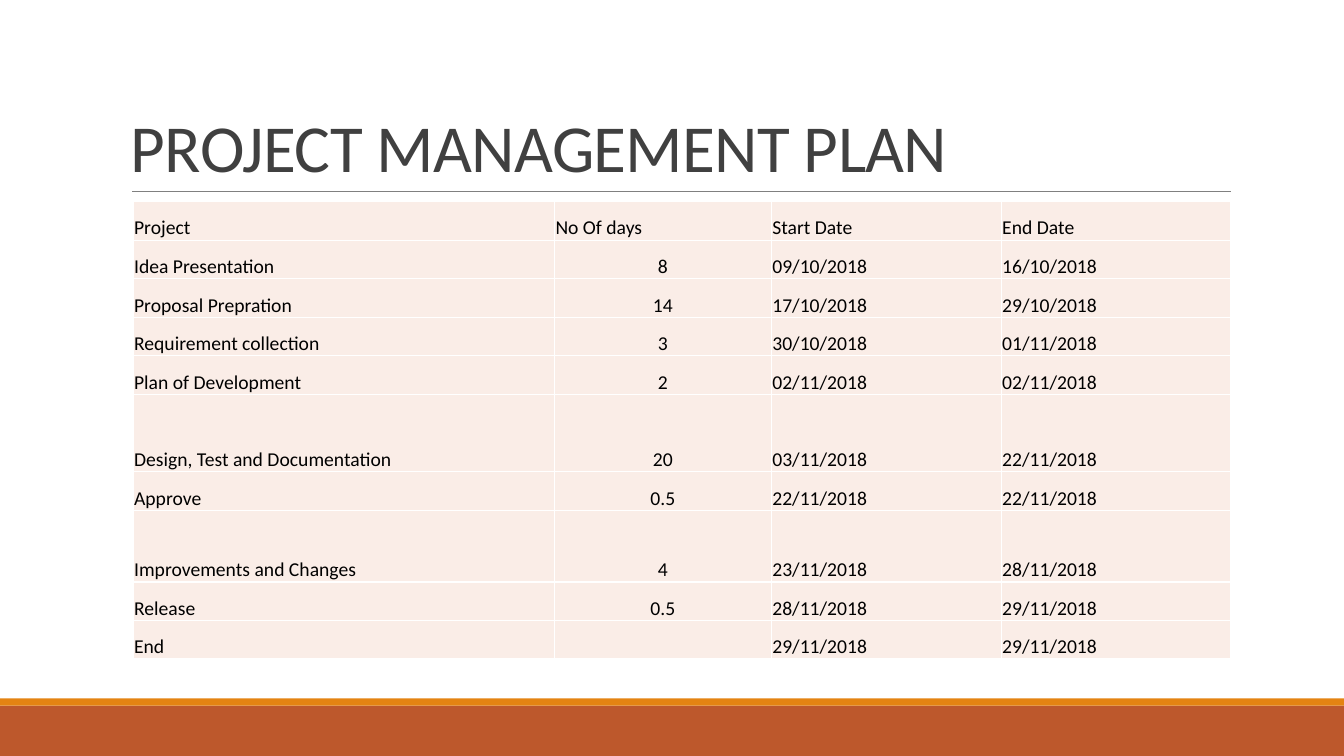
from lxml.etree import SubElement
from pptx import Presentation
from pptx.dml.color import RGBColor
from pptx.enum.shapes import MSO_CONNECTOR, MSO_SHAPE
from pptx.enum.text import MSO_ANCHOR, PP_ALIGN
from pptx.oxml.ns import qn
from pptx.util import Inches, Pt

# Content
TITLE = "PROJECT MANAGEMENT PLAN"
PLAN = [
    ("Project", "No Of days", "Start Date", "End Date"),
    ("Idea Presentation", "8", "09/10/2018", "16/10/2018"),
    ("Proposal Prepration", "14", "17/10/2018", "29/10/2018"),
    ("Requirement collection", "3", "30/10/2018", "01/11/2018"),
    ("Plan of Development", "2", "02/11/2018", "02/11/2018"),
    ("Design, Test and Documentation", "20", "03/11/2018", "22/11/2018"),
    ("Approve", "0.5", "22/11/2018", "22/11/2018"),
    ("Improvements and Changes", "4", "23/11/2018", "28/11/2018"),
    ("Release", "0.5", "28/11/2018", "29/11/2018"),
    ("End", "", "29/11/2018", "29/11/2018"),
]

# Look and grid, in inches
COLORS = {"band": "BD582C", "stripe": "E48312", "rule": "808080",
          "title": "404040", "text": "000000", "cell": "FAEDE7", "border": "FFFFFF"}
FONT = "Calibri"
WIDTH, HEIGHT = 13.33, 7.5
BAND, STRIPE = 0.5, 0.07
RULE_LEFT, RULE_RIGHT, RULE_Y = 1.31, 12.21, 1.9
TABLE_LEFT, TABLE_TOP, TABLE_HEIGHT = 1.32, 2, 4.54
COLUMNS = (4.18, 2.15, 2.28, 2.28)
TALL_ROWS = {5: 0.77, 7: 0.71}
ROW = (TABLE_HEIGHT - sum(TALL_ROWS.values())) / (len(PLAN) - len(TALL_ROWS))


def color(key):
    return RGBColor.from_string(COLORS[key])


def add_run(paragraph, text, size, key):
    run = paragraph.add_run()
    run.text = text
    run.font.name = FONT
    run.font.size = Pt(size)
    run.font.color.rgb = color(key)
    return run


def add_borders(cell):
    properties = cell._tc.get_or_add_tcPr()
    for side in ("lnL", "lnR", "lnT", "lnB"):
        line = SubElement(properties, qn(f"a:{side}"), w=str(Pt(1)))
        fill = SubElement(line, qn("a:solidFill"))
        SubElement(fill, qn("a:srgbClr"), val=COLORS["border"])


prs = Presentation()
prs.slide_width, prs.slide_height = Inches(WIDTH), Inches(HEIGHT)
slide = prs.slides.add_slide(prs.slide_layouts[6])

# Footer bands
footer_top = HEIGHT - BAND
for key, top, height in (("band", footer_top, BAND),
                         ("stripe", footer_top - STRIPE, STRIPE)):
    footer = slide.shapes.add_shape(MSO_SHAPE.RECTANGLE, 0, Inches(top),
                                    Inches(WIDTH), Inches(height))
    footer.shadow.inherit = False
    footer.fill.solid()
    footer.fill.fore_color.rgb = color(key)
    footer.line.fill.background()

# Rule under the title
rule = slide.shapes.add_connector(MSO_CONNECTOR.STRAIGHT, Inches(RULE_LEFT), Inches(RULE_Y),
                                  Inches(RULE_RIGHT), Inches(RULE_Y))
rule.line.color.rgb = color("rule")
rule.line.width = Pt(0.5)
SubElement(rule._element.spPr, qn("a:effectLst"))

# Title
title = slide.shapes.add_textbox(Inches(1.2), Inches(0.31), Inches(11),
                                 Inches(RULE_Y - 0.31)).text_frame
title.word_wrap = True
title.vertical_anchor = MSO_ANCHOR.BOTTOM
title.paragraphs[0].line_spacing = 0.85
title_run = add_run(title.paragraphs[0], TITLE, 48, "title")
title_run.font._element.set("spc", "-50")

# Plan table
plan = slide.shapes.add_table(len(PLAN), len(COLUMNS), Inches(TABLE_LEFT), Inches(TABLE_TOP),
                              Inches(sum(COLUMNS)), Inches(TABLE_HEIGHT)).table
plan.first_row = plan.horz_banding = False
for column, width in zip(plan.columns, COLUMNS):
    column.width = Inches(width)
for r, entries in enumerate(PLAN):
    plan.rows[r].height = Inches(TALL_ROWS.get(r, ROW))
    for c, entry in enumerate(entries):
        cell = plan.cell(r, c)
        add_borders(cell)
        cell.fill.solid()
        cell.fill.fore_color.rgb = color("cell")
        cell.margin_left = cell.margin_right = cell.margin_top = Inches(0.01)
        cell.margin_bottom = 0
        cell.vertical_anchor = MSO_ANCHOR.BOTTOM
        paragraph = cell.text_frame.paragraphs[0]
        if c == 1 and r > 0:
            paragraph.alignment = PP_ALIGN.CENTER
        if entry:
            add_run(paragraph, entry, 14, "text")

prs.save("out.pptx")
